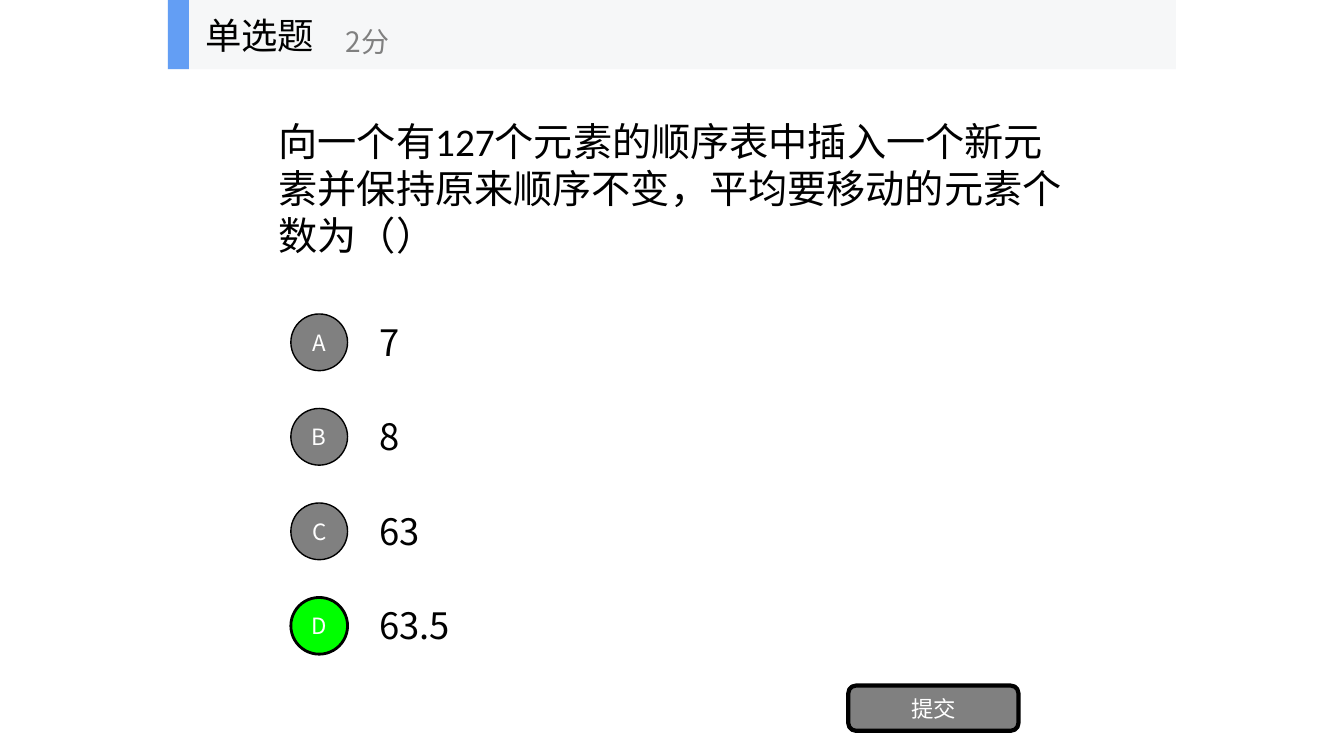
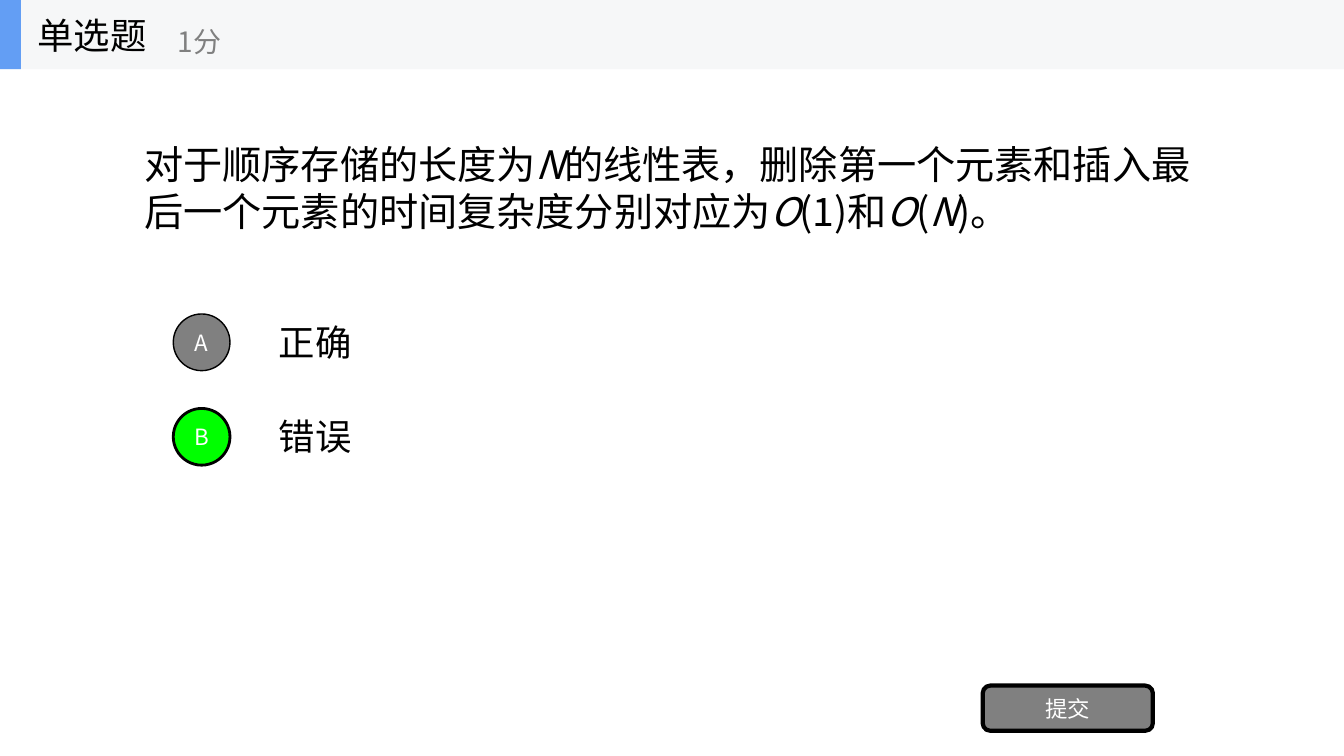
from dataclasses import dataclass

from pptx import Presentation
from pptx import util as u
from pptx.dml.color import RGBColor
from pptx.enum import shapes, text
from pptx.oxml.ns import qn

PX = 9525  # EMU in one px
W, H = 1280, 720
SHAPE = shapes.MSO_SHAPE


@dataclass(frozen=True)
class Theme:
    ink: str = "000000"
    paper: str = "FFFFFF"
    grey: str = "808080"
    right: str = "00FF00"
    band: str = "F6F7F8"
    accent: str = "639EF4"
    sans: str = "Noto Sans CJK SC"
    latin: str = "Calibri"
    stem: int = 28
    body: int = 26
    points: int = 20
    label: int = 16


T = Theme()


def px(*lengths):
    return [u.Emu(round(n * PX)) for n in lengths]


def write(sp, runs, size, color=T.ink, font=T.sans, align=None, **frame):
    """Fill a shape with one paragraph of (text, italic) runs."""
    tf = sp.text_frame
    settings = dict(word_wrap=True, vertical_anchor=text.MSO_ANCHOR.MIDDLE)
    for name, value in {**settings, **frame}.items():
        setattr(tf, name, value)
    p = tf.paragraphs[0]
    p.alignment = align or text.PP_ALIGN.LEFT
    for words, italic in runs:
        r = p.add_run()
        r.text = words
        r.font.color.rgb = RGBColor.from_string(color)
        for name, value in dict(size=u.Pt(size), name=font, italic=italic).items():
            setattr(r.font, name, value)
        ea = r.font._element.makeelement(qn("a:ea"), {"typeface": T.sans})
        r.font._element.append(ea)


def add_text(parent, box, runs, size, **style):
    write(parent.add_textbox(*px(*box)), runs, size, **style)


def add_block(parent, kind, box, fill, line=0):
    sp = parent.add_shape(kind, *px(*box))
    sp.shadow.inherit = False
    sp.fill.solid()
    sp.fill.fore_color.rgb = RGBColor.from_string(fill)
    if line:
        sp.line.color.rgb = RGBColor.from_string(T.ink)
        sp.line.width = u.Pt(line)
    else:
        sp.line.fill.background()
    return sp


def add_labelled(parent, kind, box, label, fill, line):
    sp = add_block(parent, kind, box, fill, line)
    write(sp, [(label, False)], T.label, T.paper, align=text.PP_ALIGN.CENTER,
          margin_left=0, margin_right=0)


def header(slide, x, w, points):
    """Band with the question type and its points."""
    g = slide.shapes.add_group_shape().shapes
    add_block(g, SHAPE.RECTANGLE, (x, 0, w, 66), T.band)
    add_block(g, SHAPE.RECTANGLE, (x, 0, 20, 66), T.accent)
    add_text(g, (x + 26, 0, 200, 66), [("单选题", False)], T.body, word_wrap=False)
    add_text(g, (x + 160, 12, 240, 54), [(points, False)], T.points,
             color=T.grey, word_wrap=False)


def options(slide, x, w, answers, correct):
    """Rows of a lettered disc, centred in its column, and an answer."""
    column, disc = w // 10, 54
    for i, answer in enumerate(answers):
        y = 292 + 90 * i
        hit = i == correct
        add_text(slide.shapes, (x + 2 * column, y, 7 * column, 67),
                 [(answer, False)], T.body)
        add_labelled(slide.shapes, SHAPE.OVAL,
                     (x + (3 * column - disc) // 2, y + 7, disc, disc),
                     "ABCD"[i], T.right if hit else T.grey, 2 if hit else 1)


def question(prs, w, points, stem, stem_font, answers, correct):
    """One question in a frame of width w, centred on the slide."""
    slide = prs.slides.add_slide(prs.slide_layouts[6])
    x, margin = (W - w) // 2, w // 10
    add_text(slide.shapes, (x + margin, 66, w - 2 * margin, 225), stem, T.stem,
             font=stem_font)
    options(slide, x, w, answers, correct)
    # Submit button, set in from the right edge of the stem
    add_labelled(slide.shapes, SHAPE.ROUNDED_RECTANGLE,
                 (x + w - margin - 216, 653, 162, 43), "提交", T.grey, 3)
    header(slide, x, w, points)


def main():
    prs = Presentation()
    prs.slide_width, prs.slide_height = px(W, H)
    question(prs, 960, "2分",
             [("向一个有127个元素的顺序表中插入一个新元素并保持原来顺序不变，"
               "平均要移动的元素个数为（）", False)],
             T.latin, ["7", "8", "63", "63.5"], 3)
    question(prs, 1280, "1分",
             [("对于顺序存储的长度为", False), ("N", True),
              ("的线性表，删除第一个元素和插入最后一个元素的时间复杂度分别对应为", False),
              ("O", True), ("(1)和", False), ("O", True), ("(", False),
              ("N", True), (")。", False)],
             T.sans, ["正确", "错误"], 1)
    prs.save("out.pptx")


if __name__ == "__main__":
    main()
